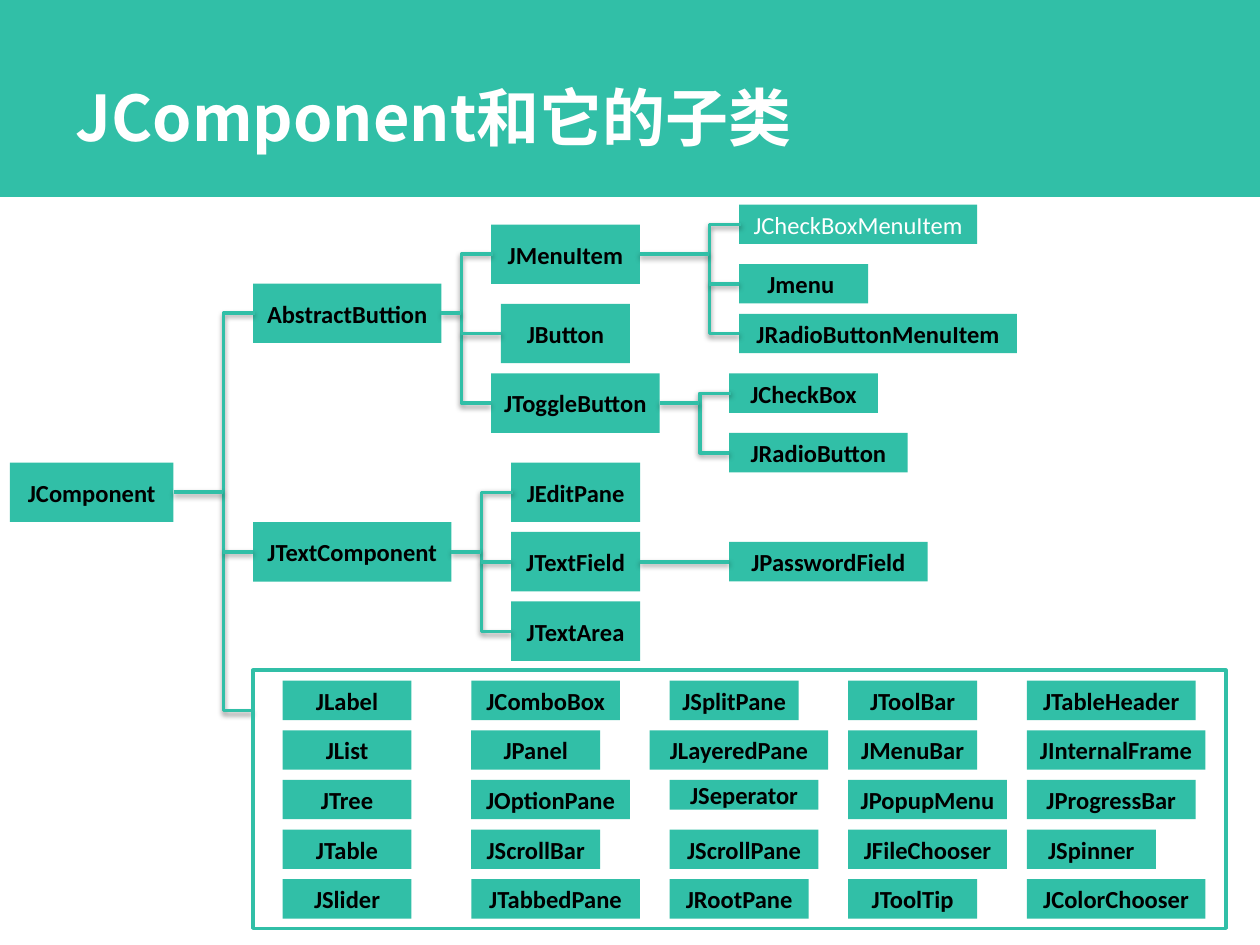
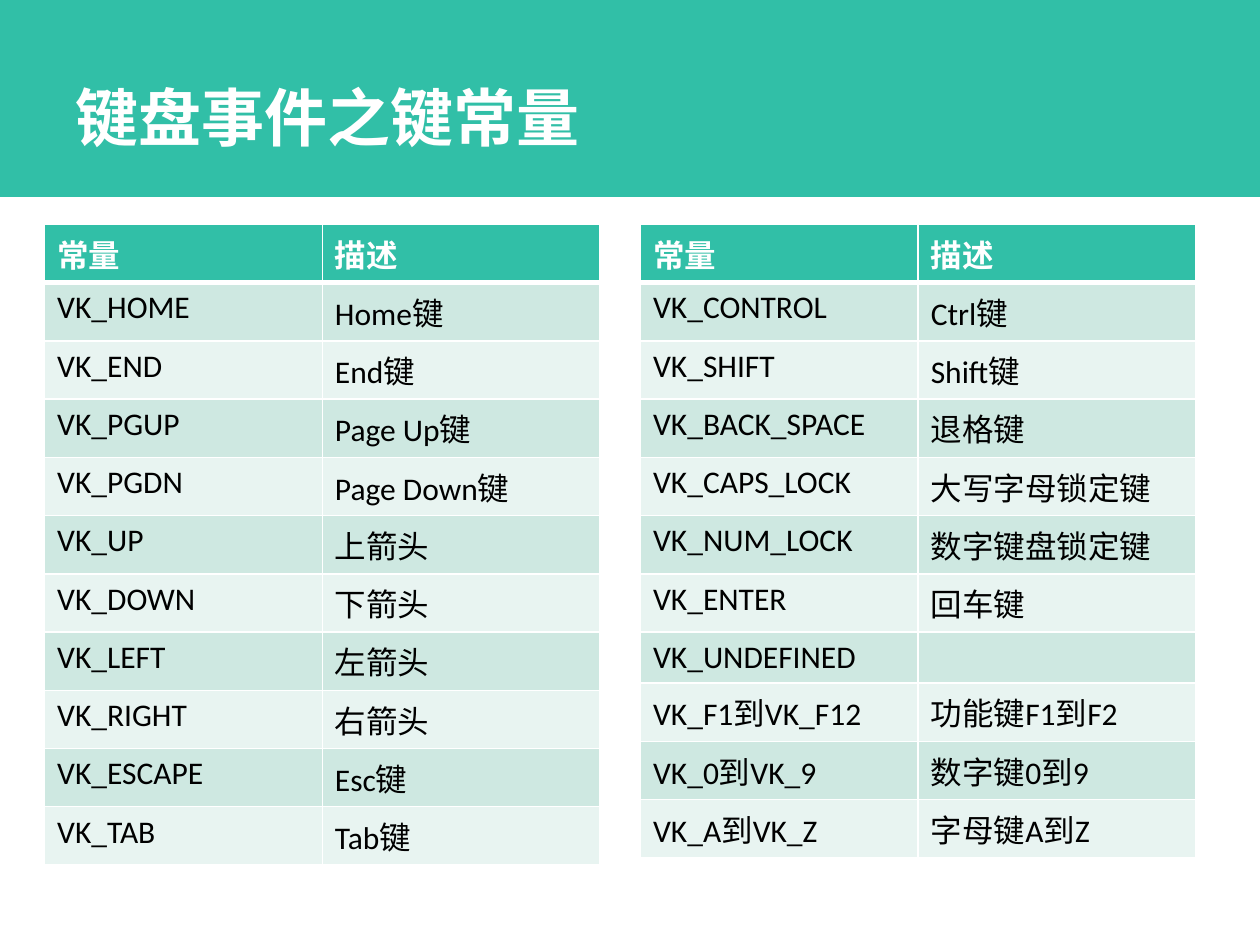
from lxml import etree
from pptx import Presentation
from pptx.dml.color import RGBColor
from pptx.enum.shapes import MSO_CONNECTOR, MSO_SHAPE
from pptx.enum.text import MSO_ANCHOR, PP_ALIGN
from pptx.oxml import parse_xml
from pptx.oxml.ns import nsdecls, qn
from pptx.util import Pt

RECT = MSO_SHAPE.RECTANGLE
STRAIGHT, ELBOW = MSO_CONNECTOR.STRAIGHT, MSO_CONNECTOR.ELBOW
MIDDLE = MSO_ANCHOR.MIDDLE
LEFT, CENTER = PP_ALIGN.LEFT, PP_ALIGN.CENTER

TEAL, WHITE, BLACK = "31BFA7", "FFFFFF", "000000"
BANDS = ("CEE8E1", "E8F4F1")
LATIN, CJK = "Calibri", "Noto Sans CJK SC"
TALL, SHORT = 34, 22.5      # box heights
SPINE_GAP = 17              # from a spine to the boxes it feeds

# Class tree: name -> left, vertical centre, width, height
CLASSES = {
    "JComponent": (5.7, 281.3, 93.5, TALL),
    "AbstractButtion": (144.6, 179, 107.7, TALL),
    "JTextComponent": (144.6, 315.4, 113.4, TALL),
    "JMenuItem": (280.6, 145.3, 85, TALL),
    "JButton": (286.3, 190.6, 73.7, TALL),
    "JToggleButton": (280.6, 230.4, 96.4, TALL),
    "JEditPane": (292.1, 281.3, 73.7, TALL),
    "JTextField": (292.1, 321, 73.7, TALL),
    "JTextArea": (292.1, 360.7, 73.7, TALL),
    "JCheckBoxMenuItem": (422.4, 128.2, 136, SHORT),
    "Jmenu ": (422.4, 162.2, 73.7, SHORT),
    "JRadioButtonMenuItem": (422.4, 190.6, 158.7, SHORT),
    "JCheckBox": (416.7, 224.7, 85, SHORT),
    "JRadioButton": (416.7, 258.7, 102, SHORT),
    "JPasswordField": (416.7, 321, 113.4, SHORT),
}
FRAME = (144.6, 383, 556, 147.5)
FRAME_ENTRY = 406

SUBCLASSES = {
    "AbstractButtion": ["JMenuItem", "JButton", "JToggleButton"],
    "JTextComponent": ["JEditPane", "JTextField", "JTextArea"],
    "JMenuItem": ["JCheckBoxMenuItem", "Jmenu ", "JRadioButtonMenuItem"],
    "JToggleButton": ["JCheckBox", "JRadioButton"],
}

# Direct subclasses inside the frame: column left -> (name, width)
FRAME_TOP, FRAME_STEP = 389, 28.35
FRAME_COLUMNS = {
    161.5: [("JLabel", 73.7), ("JList", 73.7), ("JTree", 73.7),
            ("JTable", 73.7), ("JSlider", 73.7)],
    269.3: [("JComboBox", 85), ("JPanel", 73.7), ("JOptionPane", 90.7),
            ("JScrollBar", 73.7), ("JTabbedPane", 96.4)],
    382.7: [("JSplitPane", 73.7), ("JLayeredPane", 102), ("JSeperator", 85),
            ("JScrollPane", 85), ("JRootPane", 79.4)],
    484.7: [("JToolBar", 73.7), ("JMenuBar", 73.7), ("JPopupMenu", 90.7),
            ("JFileChooser", 90.7), ("JToolTip", 73.7)],
    586.8: [("JTableHeader", 96.4), ("JInternalFrame", 102),
            ("JProgressBar", 96.4), ("JSpinner", 73.7),
            ("JColorChooser", 102)],
}

HEADER = ("常量", "描述")
MOVE_KEYS = [
    ("VK_HOME", "Home键"), ("VK_END", "End键"), ("VK_PGUP", "Page Up键"),
    ("VK_PGDN", "Page Down键"), ("VK_UP", "上箭头"), ("VK_DOWN", "下箭头"),
    ("VK_LEFT", "左箭头"), ("VK_RIGHT", "右箭头"), ("VK_ESCAPE", "Esc键"),
    ("VK_TAB", "Tab键"),
]
CONTROL_KEYS = [
    ("VK_CONTROL", "Ctrl键"), ("VK_SHIFT", "Shift键"),
    ("VK_BACK_SPACE", "退格键"), ("VK_CAPS_LOCK", "大写字母锁定键"),
    ("VK_NUM_LOCK", "数字键盘锁定键"), ("VK_ENTER", "回车键"),
    ("VK_UNDEFINED", ""), ("VK_F1到VK_F12", "功能键F1到F2"),
    ("VK_0到VK_9", "数字键0到9"), ("VK_A到VK_Z", "字母键A到Z"),
]


def rgb(color):
    return RGBColor.from_string(color)


def add_run(p, text, size, color, bold=False, font=LATIN):
    r = p.add_run()
    r.text = text
    r.font.size = Pt(size)
    r.font.bold = bold
    r.font.color.rgb = rgb(color)
    r.font.name = font
    etree.SubElement(r.font._element, qn("a:ea")).set("typeface", CJK)


def add_rect(s, x, y, w, h, fill=TEAL, line=None):
    sp = s.shapes.add_shape(RECT, Pt(x), Pt(y), Pt(w), Pt(h))
    sp.shadow.inherit = False
    if fill:
        sp.fill.solid()
        sp.fill.fore_color.rgb = rgb(fill)
    else:
        sp.fill.background()
    if line:
        sp.line.color.rgb = rgb(line)
        sp.line.width = Pt(2)
    else:
        sp.line.fill.background()
    return sp


def add_class_box(s, name, x, y, w, h, color=BLACK, bold=True):
    tf = add_rect(s, x, y, w, h).text_frame
    tf.word_wrap = False
    tf.vertical_anchor = MIDDLE
    p = tf.paragraphs[0]
    p.alignment = CENTER
    add_run(p, name, 14, color, bold)


def add_line(s, kind, x1, y1, x2, y2):
    c = s.shapes.add_connector(kind, Pt(x1), Pt(y1), Pt(x2), Pt(y2))
    c.line.color.rgb = rgb(TEAL)
    c.line.width = Pt(2)
    c._element.spPr.append(parse_xml(
        f'<a:effectLst {nsdecls("a")}><a:outerShdw blurRad="{Pt(3.1)}" '
        f'dist="{Pt(1.6)}" dir="5400000" rotWithShape="0">'
        f'<a:srgbClr val="{BLACK}"><a:alpha val="38000"/></a:srgbClr>'
        '</a:outerShdw></a:effectLst>'))
    return c


def add_bracket(s, x, top, bottom):
    """Elbow line whose spine stands SPINE_GAP to the left of x."""
    c = add_line(s, ELBOW, x, bottom, x + 1, top)
    spPr = c._element.spPr
    spPr.find(qn("a:xfrm")).set("rot", "10800000")
    guide = etree.SubElement(spPr.find(qn("a:prstGeom")).find(qn("a:avLst")),
                             qn("a:gd"))
    guide.set("name", "adj1")
    guide.set("fmla", f"val {(SPINE_GAP + 1) * 100000}")


def add_fan(s, parent, entries):
    """Join a class to the (left, centre) points of its subclasses."""
    x, cy, w, _ = CLASSES[parent]
    left, top = entries[0]
    spine = left - SPINE_GAP
    add_bracket(s, left, top, entries[-1][1])
    add_line(s, STRAIGHT, x + w, cy, spine, cy)
    for child_x, child_y in entries[1:-1]:
        add_line(s, STRAIGHT, spine, child_y, child_x, child_y)


def add_title_slide(prs, title):
    s = prs.slides.add_slide(prs.slide_layouts[5])
    sp = s.shapes.title
    sp.left, sp.top, sp.width, sp.height = Pt(36), Pt(21.6), Pt(648), Pt(90)
    tf = sp.text_frame
    tf.vertical_anchor = MIDDLE
    p = tf.paragraphs[0]
    p.alignment = LEFT
    add_run(p, title, 36, WHITE, True, CJK)
    return s


def share_band(s):
    """Move the title band to the layout, behind its placeholders."""
    band = add_rect(s, 0, 0, 720, 112.5)
    s.slide_layout.shapes._spTree.insert(2, band._element)


def set_borders(cell, top, bottom):
    tcPr = cell._tc.get_or_add_tcPr()
    for side, width in (("L", 1), ("R", 1), ("T", top), ("B", bottom)):
        tcPr.append(parse_xml(
            f'<a:ln{side} {nsdecls("a")} w="{Pt(width)}"><a:solidFill>'
            f'<a:srgbClr val="{WHITE}"/></a:solidFill></a:ln{side}>'))


def add_key_table(s, x, keys):
    rows = [HEADER] + keys
    height = 29.2
    table = s.shapes.add_table(len(rows), 2, Pt(x), Pt(128.2), Pt(317.4),
                               Pt(height * len(rows))).table
    for col in table.columns:
        col.width = Pt(158.7)
    for i, texts in enumerate(rows):
        table.rows[i].height = Pt(height)
        head = i == 0
        for j, text in enumerate(texts):
            cell = table.cell(i, j)
            set_borders(cell, 3 if i == 1 else 1, 3 if head else 1)
            cell.fill.solid()
            cell.fill.fore_color.rgb = rgb(TEAL if head else BANDS[(i - 1) % 2])
            p = cell.text_frame.paragraphs[0]
            if text:
                add_run(p, text, 18, WHITE if head else BLACK, head)


def build_class_tree(s):
    # Boxes of the tree
    for name, (x, cy, w, h) in CLASSES.items():
        plain = name == "JCheckBoxMenuItem"
        add_class_box(s, name, x, cy - h / 2, w, h,
                      WHITE if plain else BLACK, not plain)
    # Lines from each class to its subclasses
    for parent, children in SUBCLASSES.items():
        add_fan(s, parent, [CLASSES[name][:2] for name in children])
    add_fan(s, "JComponent", [CLASSES["AbstractButtion"][:2],
                              CLASSES["JTextComponent"][:2],
                              (FRAME[0], FRAME_ENTRY)])
    x, cy, w, _ = CLASSES["JTextField"]
    add_line(s, STRAIGHT, x + w, cy, CLASSES["JPasswordField"][0], cy)
    # Frame with the remaining subclasses
    add_rect(s, *FRAME, fill=None, line=TEAL)
    for left, column in FRAME_COLUMNS.items():
        for i, (name, w) in enumerate(column):
            x = 371.3 if name == "JLayeredPane" else left
            h = 17 if name == "JSeperator" else SHORT
            add_class_box(s, name, x, FRAME_TOP + i * FRAME_STEP, w, h)


def main():
    prs = Presentation()
    prs.slide_width, prs.slide_height = Pt(720), Pt(540)

    s = add_title_slide(prs, "JComponent和它的子类")
    share_band(s)
    build_class_tree(s)

    s = add_title_slide(prs, "键盘事件之键常量")
    add_key_table(s, 25.5, MOVE_KEYS)
    add_key_table(s, 366, CONTROL_KEYS)

    prs.save("out.pptx")


if __name__ == "__main__":
    main()
